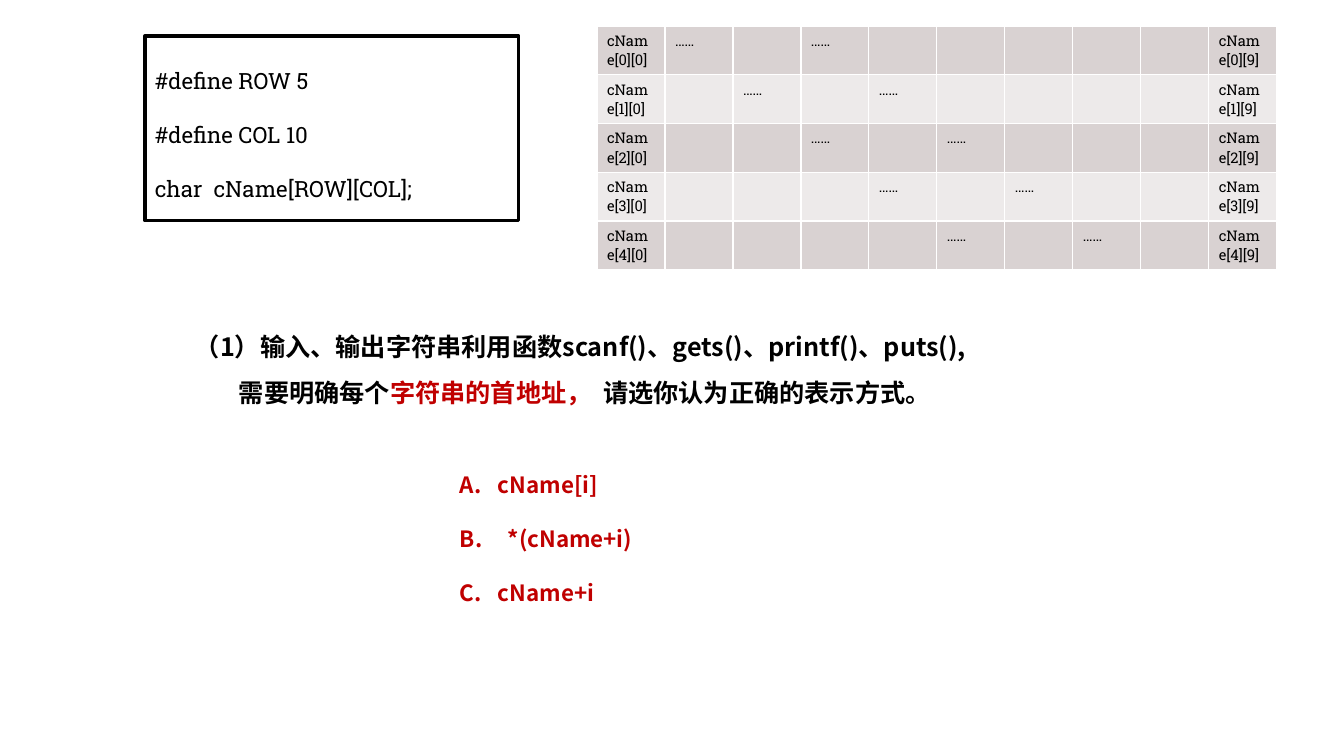
from dataclasses import dataclass

from lxml import etree
from pptx import Presentation
from pptx.dml.color import RGBColor
from pptx.enum.shapes import MSO_SHAPE
from pptx.enum.text import MSO_ANCHOR, PP_ALIGN
from pptx.oxml.ns import qn
from pptx.util import Emu, Pt

RECTANGLE = MSO_SHAPE.RECTANGLE
TOP = MSO_ANCHOR.TOP
LEFT = PP_ALIGN.LEFT
EMU_PER_PX = 914400 / 100.8


@dataclass(frozen=True)
class Theme:
    ink: str = "000000"
    accent: str = "C00000"
    paper: str = "FFFFFF"
    bands: tuple = ("D9D2D2", "EDEAEA")
    code_font: str = "Roboto Slab"
    text_font: str = "Noto Sans CJK SC"
    code_size: float = 16
    cell_size: float = 10.5
    question_size: float = 18
    option_size: float = 16
    wide_leading: float = 38.25
    question_leading: float = 32.75


THEME = Theme()


def px(length):
    return Emu(round(length * EMU_PER_PX))


def place(box):
    return [px(length) for length in box]


def rgb(value):
    return RGBColor.from_string(value)


def add_span(para, text, *, font, size, color=THEME.ink, bold=False):
    span = para.add_run()
    span.text = text
    span.font.name = font
    span.font.size = Pt(size)
    span.font.bold = bold
    span.font.color.rgb = rgb(color)
    east_asian = etree.SubElement(span.font._element, qn("a:ea"))
    east_asian.set("typeface", font)


def add_paras(frame, count, leading):
    """Return left-aligned paragraphs with a fixed line height in points."""
    frame.word_wrap = True
    frame.vertical_anchor = TOP
    paras = [frame.paragraphs[0]]
    paras += [frame.add_paragraph() for _ in range(count - 1)]
    for para in paras:
        para.alignment = LEFT
        para.line_spacing = Pt(leading)
    return paras


def indent(para, left, first=0):
    properties = para._p.get_or_add_pPr()
    properties.set("marL", str(px(left)))
    properties.set("indent", str(px(first)))
    return properties


def add_code_box(page, box):
    lines = ["#define ROW 5", "#define COL 10", "char  cName[ROW][COL];"]
    code = page.shapes.add_shape(RECTANGLE, *place(box))
    code.shadow.inherit = False
    code.fill.solid()
    code.fill.fore_color.rgb = rgb(THEME.paper)
    code.line.color.rgb = rgb(THEME.ink)
    code.line.width = Pt(2.25)
    paras = add_paras(code.text_frame, len(lines), THEME.wide_leading)
    for para, line in zip(paras, lines):
        add_span(para, line, font=THEME.code_font, size=THEME.code_size)


def add_cell_borders(cell, color):
    properties = cell._tc.get_or_add_tcPr()
    for side in ("lnL", "lnR", "lnT", "lnB"):
        border = etree.SubElement(properties, qn(f"a:{side}"), w=str(Pt(1)))
        fill = etree.SubElement(border, qn("a:solidFill"))
        etree.SubElement(fill, qn("a:srgbClr"), val=color)


def cell_text(row, column, last):
    if column in (0, last):
        return f"cName[{row}][{column}]"
    return "……" if column in (row + 1, row + 3) else ""


def add_array_table(page, box, rows=5, columns=10):
    """Draw the array, with its ellipses on two diagonals."""
    table = page.shapes.add_table(rows, columns, *place(box)).table
    table.first_row = False
    table.horz_banding = False
    for column in table.columns:
        column.width = px(box[2] // columns)
    for row_index, row in enumerate(table.rows):
        row.height = px(box[3] // rows)
        for column_index, cell in enumerate(row.cells):
            add_cell_borders(cell, THEME.paper)
            cell.fill.solid()
            cell.fill.fore_color.rgb = rgb(THEME.bands[row_index % 2])
            text = cell_text(row_index, column_index, columns - 1)
            if text:
                add_span(cell.text_frame.paragraphs[0], text,
                         font=THEME.code_font, size=THEME.cell_size)


def add_question(page, box):
    lines = [
        [("（1）输入、输出字符串利用函数scanf()、gets()、printf()、puts(),", THEME.ink)],
        [("需要明确每个", THEME.ink),
         ("字符串的首地址，  ", THEME.accent),
         ("请选你认为正确的表示方式。", THEME.ink)],
    ]
    frame = page.shapes.add_textbox(*place(box)).text_frame
    paras = add_paras(frame, len(lines), THEME.question_leading)
    indent(paras[1], 44)
    for para, spans in zip(paras, lines):
        for text, color in spans:
            add_span(para, text, font=THEME.text_font,
                     size=THEME.question_size, color=color, bold=True)


def add_options(page, box):
    options = [("cName[i]", 38), ("*(cName+i)", 48), ("cName+i", 38)]
    frame = page.shapes.add_textbox(*place(box)).text_frame
    paras = add_paras(frame, len(options), THEME.wide_leading)
    for para, (text, left) in zip(paras, options):
        properties = indent(para, left, -left)
        etree.SubElement(properties, qn("a:buFont"), typeface=THEME.text_font)
        etree.SubElement(properties, qn("a:buAutoNum"), type="alphaUcPeriod")
        add_span(para, text, font=THEME.text_font, size=THEME.option_size,
                 color=THEME.accent, bold=True)


def main():
    deck = Presentation()
    deck.slide_width, deck.slide_height = px(1344), px(756)
    page = deck.slides.add_slide(deck.slide_layouts[6])
    add_code_box(page, (145, 36, 374, 185))
    add_array_table(page, (597, 26, 680, 240))
    add_question(page, (185, 311, 1026, 97))
    add_options(page, (450, 440, 314, 165))
    deck.save("out.pptx")


if __name__ == "__main__":
    main()
